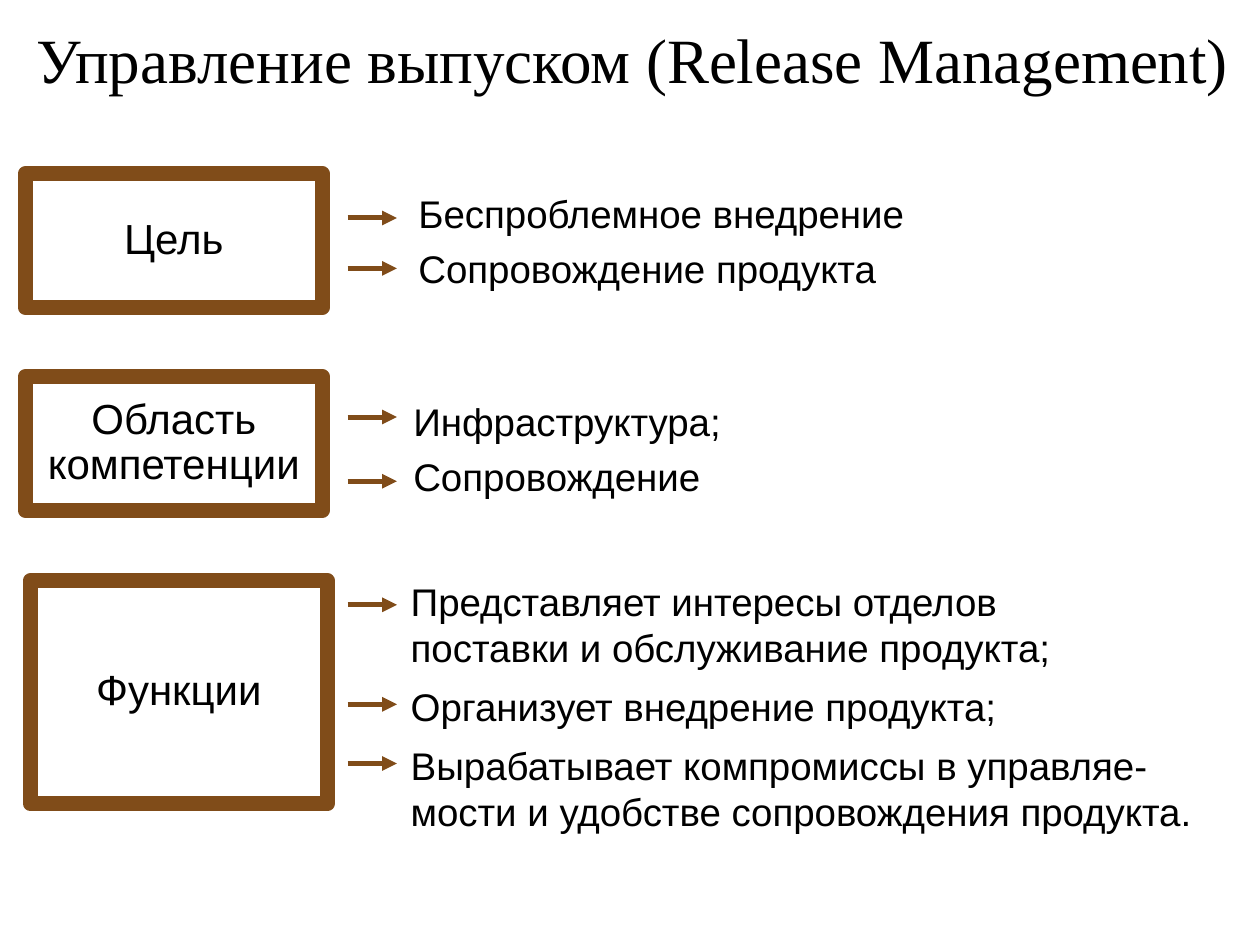
"""Build the Release Management slide: three framed labels with arrows to their points."""
import pptx
import pptx.dml.color
import pptx.enum.shapes
import pptx.enum.text
import pptx.oxml.ns
import pptx.util
from lxml import etree
from pptx.util import Inches

BLACK = pptx.dml.color.RGBColor(0x00, 0x00, 0x00)
WHITE = pptx.dml.color.RGBColor(0xFF, 0xFF, 0xFF)
BROWN = pptx.dml.color.RGBColor(0x80, 0x4C, 0x19)
qn = pptx.oxml.ns.qn


def write(tf, lines, size, align, gaps, font="Arial", spacing=0.9):
    tf.text = "\n".join(lines)
    for p, gap in zip(tf.paragraphs, gaps):
        p.alignment = align
        p.line_spacing = spacing
        p.space_before = pptx.util.Pt(gap)
        for r in p.runs:
            r.font.name = font
            r.font.size = pptx.util.Pt(size)
            r.font.color.rgb = BLACK


LEFT = pptx.enum.text.PP_ALIGN.LEFT
CENTER = pptx.enum.text.PP_ALIGN.CENTER
MIDDLE = pptx.enum.text.MSO_ANCHOR.MIDDLE

prs = pptx.Presentation()
prs.slide_width, prs.slide_height = Inches(10), Inches(7.5)
s = prs.slides.add_slide(prs.slide_layouts[5])

title = s.shapes.title
title.left, title.top = Inches(0), Inches(-0.06)
title.width, title.height = Inches(10.04), Inches(1.04)
tf = title.text_frame
tf.auto_size = pptx.enum.text.MSO_AUTO_SIZE.NONE
tf.vertical_anchor = MIDDLE
write(tf, ["Управление выпуском (Release Management)"], 36, CENTER, [0],
      "Times New Roman", 1.0)

sections = [
    (["Цель"], (0.2, 1.38, 2.36, 1.06), (3.19, 1.5, 6.61, 0.75),
     ["Беспроблемное внедрение", "Сопровождение продукта"],
     [0, 8], [1.73, 2.13]),
    (["Область", "компетенции"], (0.2, 2.99, 2.36, 1.06), (3.15, 3.15, 3.35, 0.85),
     ["Инфраструктура;", "Сопровождение"],
     [0, 8], [3.31, 3.82]),
    (["Функции"], (0.24, 4.61, 2.36, 1.77), (3.13, 4.58, 6.87, 2.35),
     ["Представляет интересы отделов",
      "поставки и обслуживание продукта;",
      "Организует внедрение продукта;",
      "Вырабатывает компромиссы в управляе-",
      "мости и удобстве сопровождения продукта."],
     [0, 2.4, 10, 10, 2.4], [4.8, 5.59, 6.06]),
]

for label, frame, area, points, gaps, arrows in sections:
    sp = s.shapes.add_shape(pptx.enum.shapes.MSO_SHAPE.RECTANGLE,
                            *[Inches(v) for v in frame])
    sp.shadow.inherit = False
    sp.fill.solid()
    sp.fill.fore_color.rgb = WHITE
    sp.line.color.rgb = BROWN
    sp.line.width = pptx.util.Pt(8.5)
    tf = sp.text_frame
    tf.margin_left = tf.margin_right = 0
    tf.vertical_anchor = MIDDLE
    write(tf, label, 24, CENTER, [0] * len(label))

    tf = s.shapes.add_textbox(*[Inches(v) for v in area]).text_frame
    tf.word_wrap = True
    tf.margin_left = Inches(0.13)
    write(tf, points, 22, LEFT, gaps)

    for y in arrows:
        cn = s.shapes.add_connector(pptx.enum.shapes.MSO_CONNECTOR.STRAIGHT,
                                    Inches(2.76), Inches(y), Inches(3.15), Inches(y))
        cn.line.color.rgb = BROWN
        cn.line.width = pptx.util.Pt(2.83)
        etree.SubElement(cn.line._get_or_add_ln(), qn("a:tailEnd"), type="triangle")
        etree.SubElement(cn._element.spPr, qn("a:effectLst"))

prs.save("out.pptx")
